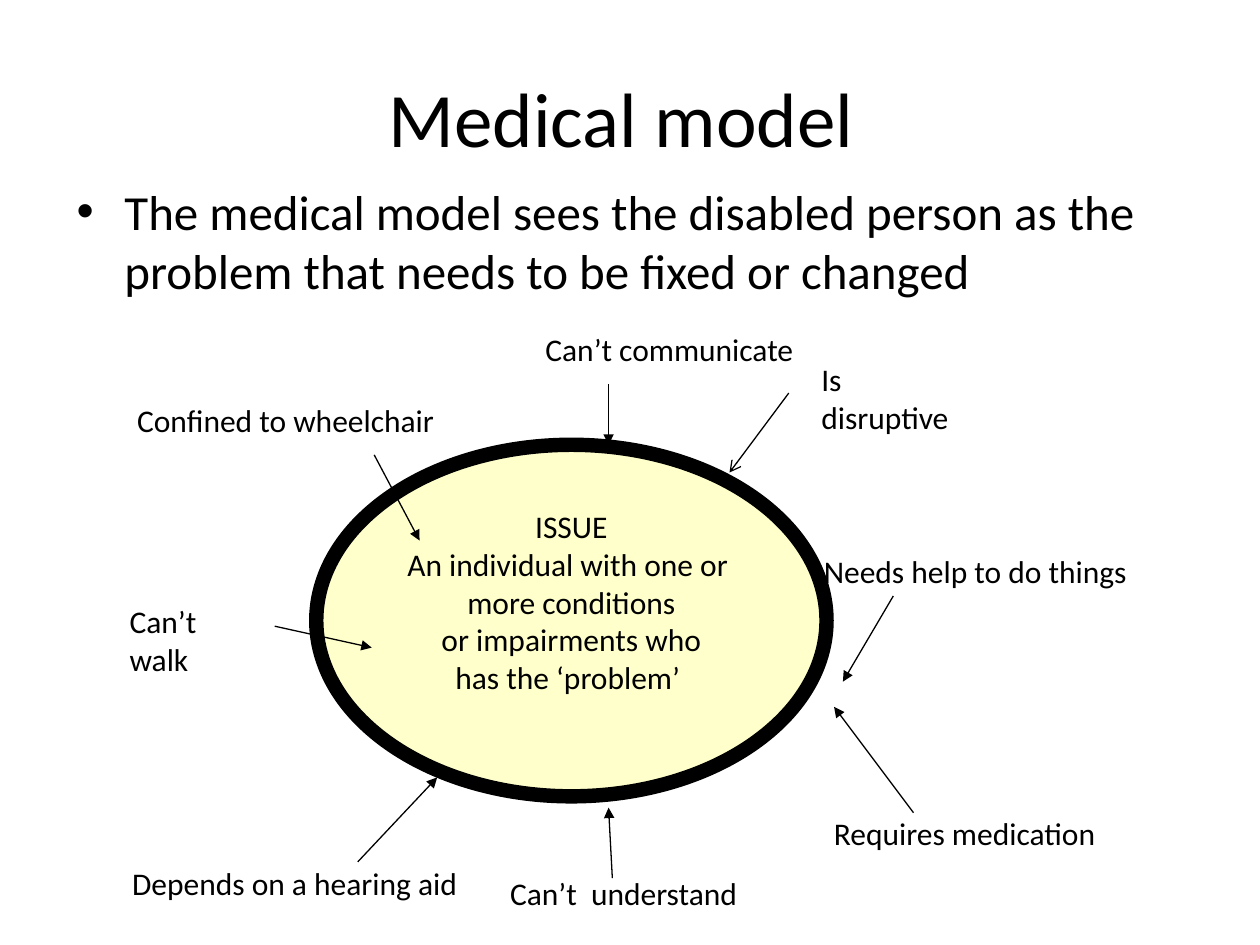
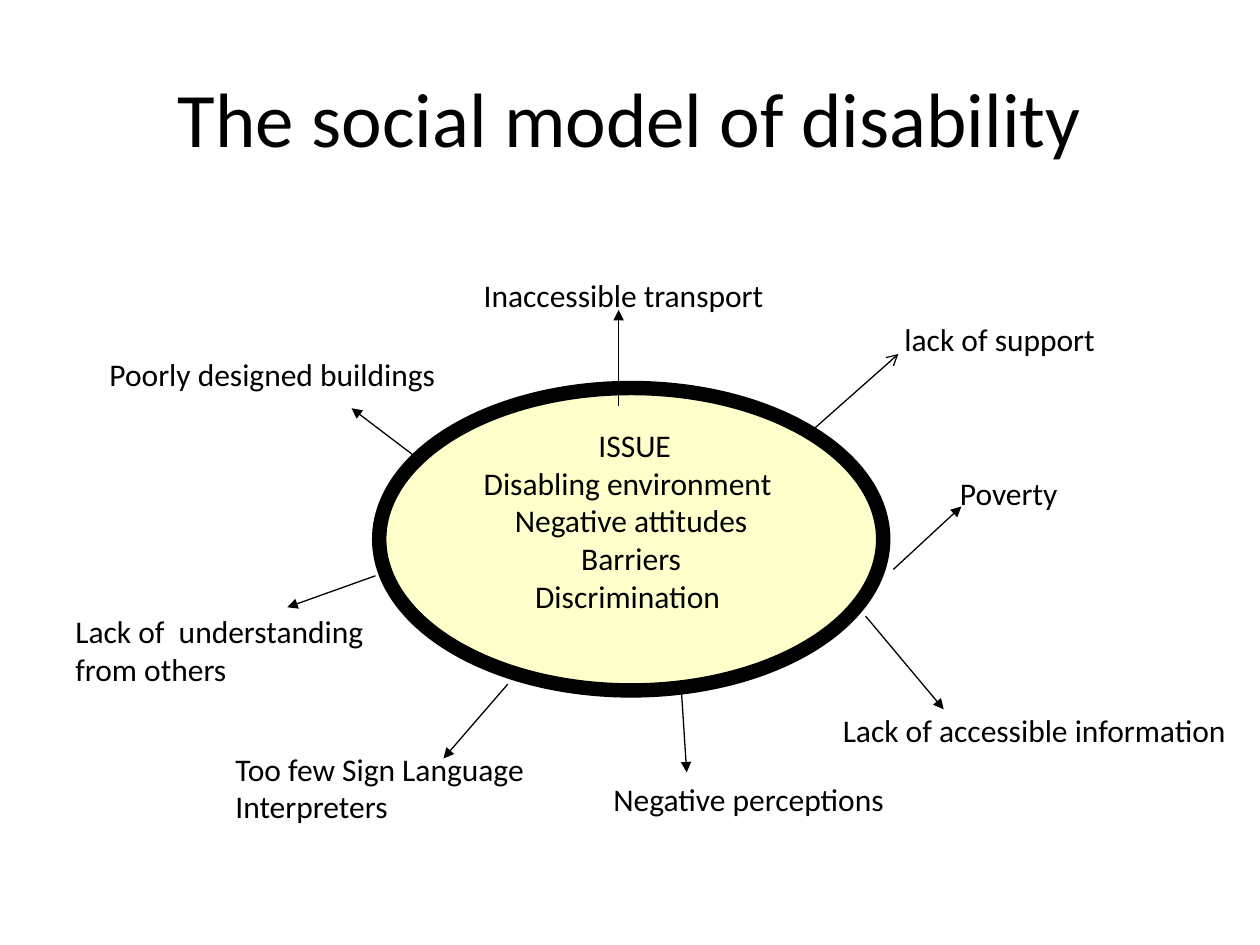
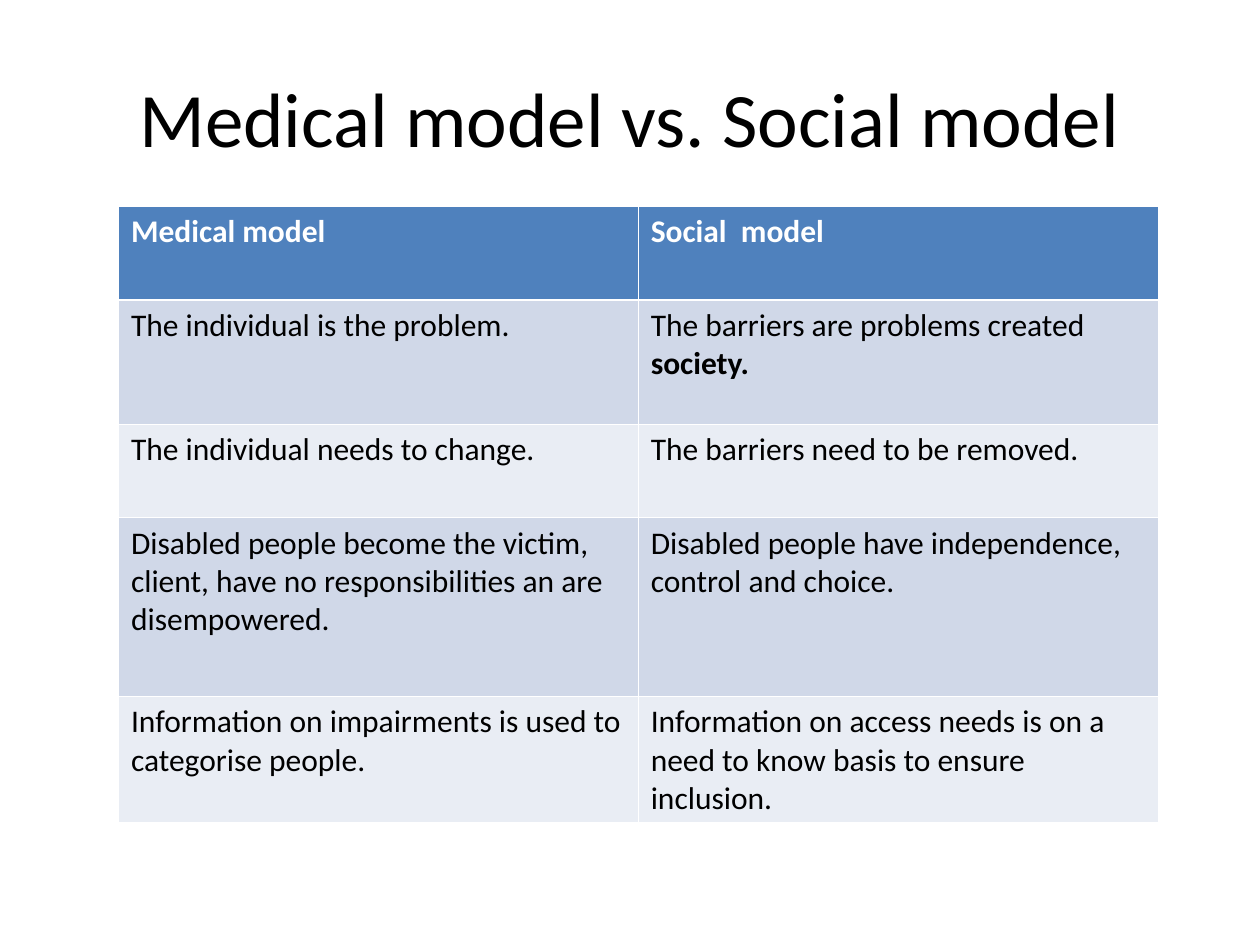
from dataclasses import dataclass

from lxml.etree import SubElement
from pptx import Presentation
from pptx.dml.color import RGBColor
from pptx.enum.shapes import MSO_CONNECTOR, MSO_SHAPE
from pptx.enum.text import MSO_ANCHOR, PP_ALIGN
from pptx.oxml.ns import qn
from pptx.slide import Slide
from pptx.table import _Cell
from pptx.text.text import TextFrame, _Paragraph
from pptx.util import Inches, Pt

FONT = "Calibri"
BLACK = "000000"
WHITE = "FFFFFF"
ISSUE_FILL = "FFFFCC"
HEADER_FILL = "4F81BD"
BAND_FILLS = ("D0D8E8", "E9EDF4")
LABEL_HEIGHT = 0.4


@dataclass
class Label:
    text: str
    left: float
    top: float
    width: float
    height: float = LABEL_HEIGHT


@dataclass
class Arrow:
    start: tuple[float, float]
    end: tuple[float, float]
    head: str = "triangle"


@dataclass
class Issue:
    lines: list[str]
    left: float
    top: float
    width: float
    height: float


@dataclass
class ComparisonRow:
    medical: str
    social: str
    height: float
    social_emphasis: str = ""


MEDICAL_ISSUE = Issue(
    ["ISSUE", "An individual with one or ", "more conditions", "or impairments who", "has the ‘problem’ "],
    2.51, 3.53, 4.05, 2.79,
)
MEDICAL_LABELS = [
    Label("Can’t communicate", 4.23, 2.57, 2.18),
    Label("Confined to wheelchair", 0.99, 3.13, 2.56),
    Label("Can’t walk", 0.93, 4.73, 1.25),
    Label("Depends on a hearing aid", 0.95, 6.81, 2.78),
    Label("Can’t  understand", 3.95, 6.89, 2.01),
    Label("Requires medication", 6.52, 6.41, 2.28),
    Label("Needs help to do things", 6.44, 4.33, 2.61),
    Label("Is disruptive", 6.42, 2.81, 1.42),
]
MEDICAL_ARROWS = [
    Arrow((4.83, 3.05), (4.83, 3.53)),
    Arrow((2.97, 3.61), (3.33, 4.29)),
    Arrow((2.18, 4.97), (2.95, 5.14)),
    Arrow((2.84, 6.84), (3.47, 6.17)),
    Arrow((4.86, 6.97), (4.83, 6.41)),
    Arrow((7.25, 6.45), (6.62, 5.61)),
    Arrow((7.09, 4.73), (6.69, 5.41)),
    Arrow((6.26, 3.12), (5.79, 3.75), "arrow"),
]

SOCIAL_ISSUE = Issue(
    [" ISSUE", "Disabling environment ", "Negative attitudes", "Barriers", "Discrimination "],
    3.01, 3.08, 4, 2.4,
)
SOCIAL_LABELS = [
    Label("Inaccessible transport", 3.74, 2.14, 2.42),
    Label("Poorly designed buildings", 0.77, 2.77, 2.79),
    Label("Lack of  understanding from others", 0.5, 4.81, 3.03, 0.7),
    Label("Too few Sign Language Interpreters", 1.77, 5.9, 2.67, 0.7),
    Label("Negative perceptions", 4.77, 6.14, 2.36),
    Label("Lack of accessible information", 6.59, 5.59, 3.25),
    Label("Poverty", 7.52, 3.71, 0.98),
    Label("lack of support", 7.08, 2.49, 1.71),
]
SOCIAL_ARROWS = [
    Arrow((4.91, 3.22), (4.91, 2.46)),
    Arrow((3.33, 3.65), (2.79, 3.24)),
    Arrow((2.98, 4.57), (2.28, 4.82)),
    Arrow((4.03, 5.43), (3.52, 6.02)),
    Arrow((5.41, 5.51), (5.45, 6.13)),
    Arrow((6.87, 4.89), (7.49, 5.63)),
    Arrow((7.09, 4.52), (7.63, 4.02)),
    Arrow((6.43, 3.43), (7.13, 2.81), "arrow"),
]

COMPARISON = [
    ComparisonRow("Medical model", "Social  model", 0.74),
    ComparisonRow("The individual is the problem.", "The barriers are problems created ", 0.99, "society."),
    ComparisonRow("The individual needs to change.", "The barriers need to be removed.", 0.74),
    ComparisonRow(
        "Disabled people become the victim, client, have no responsibilities an are disempowered.",
        "Disabled people have independence, control and choice.",
        1.42,
    ),
    ComparisonRow(
        "Information on impairments is used to categorise people.",
        "Information on access needs is on a need to know basis to ensure inclusion.",
        1,
    ),
]


def color(value: str) -> RGBColor:
    return RGBColor.from_string(value)


def add_bullet(paragraph: _Paragraph) -> None:
    properties = paragraph._p.get_or_add_pPr()
    properties.set("marL", str(Inches(0.38)))
    properties.set("indent", str(Inches(-0.38)))
    SubElement(properties, qn("a:buFont"), typeface="Arial")
    SubElement(properties, qn("a:buChar"), char="•")


def write_text(frame: TextFrame, lines: list[str], *, size: float = 18, font_color: str = BLACK,
               bold: bool = False, align: PP_ALIGN = PP_ALIGN.LEFT, bullet: bool = False,
               emphasis: str = "") -> None:
    for index, line in enumerate(lines):
        paragraph = frame.paragraphs[0] if index == 0 else frame.add_paragraph()
        if bullet:
            add_bullet(paragraph)
        paragraph.alignment = align
        runs = [(line, bold)]
        if emphasis:
            runs.append((emphasis, True))
        for text, is_bold in runs:
            run = paragraph.add_run()
            run.text = text
            run.font.name = FONT
            run.font.size = Pt(size)
            run.font.bold = is_bold
            run.font.color.rgb = color(font_color)


def add_text_box(slide: Slide, left: float, top: float, width: float, height: float,
                 wrap: bool = True) -> TextFrame:
    shape = slide.shapes.add_textbox(Inches(left), Inches(top), Inches(width), Inches(height))
    shape.text_frame.word_wrap = wrap
    return shape.text_frame


def add_titled_slide(presentation: Presentation, title: str) -> Slide:
    slide = presentation.slides.add_slide(presentation.slide_layouts[6])
    frame = add_text_box(slide, 0.5, 0.3, 9, 1.25)
    frame.vertical_anchor = MSO_ANCHOR.MIDDLE
    write_text(frame, [title], size=44, align=PP_ALIGN.CENTER)
    return slide


def draw_issue(slide: Slide, issue: Issue) -> None:
    shape = slide.shapes.add_shape(MSO_SHAPE.OVAL, Inches(issue.left), Inches(issue.top),
                                   Inches(issue.width), Inches(issue.height))
    shape.shadow.inherit = False
    shape.fill.solid()
    shape.fill.fore_color.rgb = color(ISSUE_FILL)
    shape.line.color.rgb = color(BLACK)
    shape.line.width = Pt(8.25)
    frame = shape.text_frame
    frame.word_wrap = False
    frame.vertical_anchor = MSO_ANCHOR.MIDDLE
    frame.margin_bottom = Inches(0.35)
    write_text(frame, issue.lines, align=PP_ALIGN.CENTER)


def draw_label(slide: Slide, label: Label) -> None:
    wrap = label.height > LABEL_HEIGHT
    frame = add_text_box(slide, label.left, label.top, label.width, label.height, wrap)
    write_text(frame, [label.text])


def draw_arrow(slide: Slide, arrow: Arrow) -> None:
    points = [Inches(value) for value in (*arrow.start, *arrow.end)]
    connector = slide.shapes.add_connector(MSO_CONNECTOR.STRAIGHT, *points)
    connector.line.color.rgb = color(BLACK)
    connector.line.width = Pt(0.75)
    SubElement(connector.line._get_or_add_ln(), qn("a:tailEnd"), type=arrow.head)
    SubElement(connector._element.spPr, qn("a:effectLst"))


def draw_model(slide: Slide, issue: Issue, labels: list[Label], arrows: list[Arrow]) -> None:
    draw_issue(slide, issue)
    for label in labels:
        draw_label(slide, label)
    for arrow in arrows:
        draw_arrow(slide, arrow)


def style_cell(cell: _Cell, row_index: int) -> None:
    thick_side = {0: "B", 1: "T"}.get(row_index)
    properties = cell._tc.get_or_add_tcPr()
    for side in "LRTB":
        width = Pt(1.47 if side == thick_side else 0.45)
        border = SubElement(properties, qn(f"a:ln{side}"), w=str(width))
        fill = SubElement(border, qn("a:solidFill"))
        SubElement(fill, qn("a:srgbClr"), val=WHITE)
    cell.fill.solid()
    cell.fill.fore_color.rgb = color(BAND_FILLS[(row_index - 1) % 2] if row_index else HEADER_FILL)


def draw_comparison(slide: Slide, rows: list[ComparisonRow]) -> None:
    height = sum(row.height for row in rows)
    table = slide.shapes.add_table(len(rows), 2, Inches(0.94), Inches(1.64),
                                   Inches(8.25), Inches(height)).table
    for row_index, row in enumerate(rows):
        is_header = row_index == 0
        table.rows[row_index].height = Inches(row.height)
        for column_index, (text, emphasis) in enumerate([(row.medical, ""), (row.social, row.social_emphasis)]):
            cell = table.cell(row_index, column_index)
            style_cell(cell, row_index)
            write_text(cell.text_frame, [text], bold=is_header, emphasis=emphasis,
                       font_color=WHITE if is_header else BLACK)


def main() -> None:
    presentation = Presentation()
    presentation.slide_width = Inches(10)
    presentation.slide_height = Inches(7.5)

    medical_slide = add_titled_slide(presentation, "Medical model ")
    write_text(
        add_text_box(medical_slide, 0.51, 1.39, 9, 2.24),
        ["The medical model sees the disabled person as the problem that needs to be fixed or changed"],
        size=28, bullet=True,
    )
    draw_model(medical_slide, MEDICAL_ISSUE, MEDICAL_LABELS, MEDICAL_ARROWS)

    social_slide = add_titled_slide(presentation, "The social model of disability")
    draw_model(social_slide, SOCIAL_ISSUE, SOCIAL_LABELS, SOCIAL_ARROWS)

    comparison_slide = add_titled_slide(presentation, "Medical model vs. Social model")
    draw_comparison(comparison_slide, COMPARISON)

    presentation.save("out.pptx")


if __name__ == "__main__":
    main()
